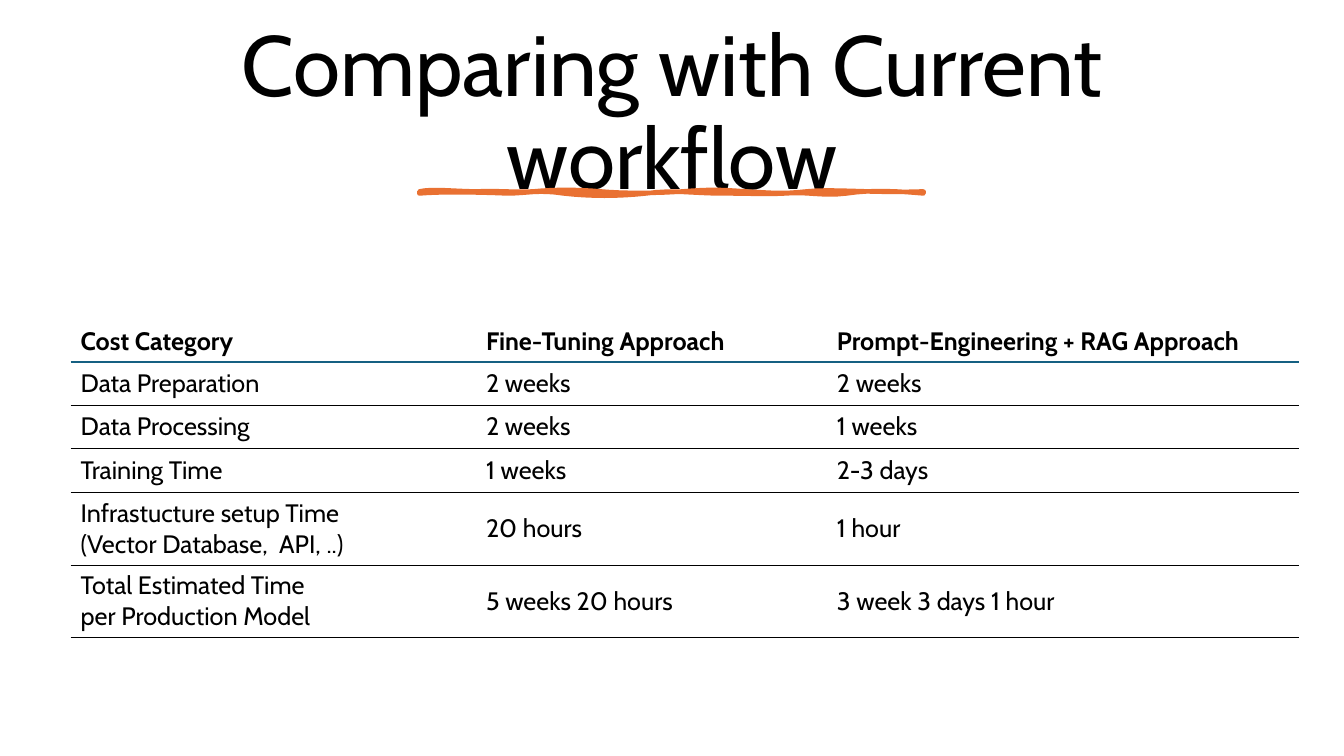
from pptx import Presentation, util as u
from pptx.dml.color import RGBColor
from pptx.enum import text
from pptx.oxml import parse_xml
from pptx.oxml.ns import nsdecls

BLACK = RGBColor(0x00, 0x00, 0x00)
ORANGE = RGBColor(0xE9, 0x71, 0x32)
TEAL = RGBColor(0x15, 0x60, 0x82)
FONT = "Cabin"
WIDTH, HEIGHT = u.Inches(13.33), u.Inches(7.5)

COMPARISON = [
    ("Cost Category", "Fine-Tuning Approach", "Prompt-Engineering + RAG Approach"),
    ("Data Preparation", "2 weeks", "2 weeks"),
    ("Data Processing", "2 weeks", "1 weeks"),
    ("Training Time", "1 weeks", "2-3 days"),
    ("Infrastucture setup Time\v(Vector Database,  API, ..)", "20 hours", "1 hour"),
    ("Total Estimated Time\vper Production Model", "5 weeks 20 hours", "3 week 3 days 1 hour"),
]
COLUMN_SHARES = (33, 28.57, 38.43)
ROW_SHARES = (21.1, 12.43, 12.43, 12.43, 21.1, 20.51)

STROKE_UNITS = 500
STROKE_CURVES = [
    (12, -3, 38, 0, 57, 0), (76, -1, 93, 1, 113, 0),
    (133, -2, 158, -2, 180, 0), (201, 2, 237, 2, 261, 0),
    (286, -2, 298, -2, 323, 0), (347, 1, 358, 3, 384, 0),
    (410, -3, 451, 2, 500, 0), (501, 1, 500, 1, 500, 2),
    (479, 0, 449, -2, 424, 2), (399, 5, 385, 0, 363, 2),
    (340, 3, 331, 2, 301, 2), (271, 2, 251, -2, 225, 2),
    (198, 5, 169, 5, 143, 2), (118, -2, 107, 2, 87, 2),
    (67, 1, 22, 0, 0, 2),
]


def slide_box(left, top, width, height):
    return tuple(int(size * share / 100) for size, share in
                 zip((WIDTH, HEIGHT, WIDTH, HEIGHT), (left, top, width, height)))


def style_runs(paragraph, size, bold=False):
    for run in paragraph.runs:
        run.font.name = FONT
        run.font.size = u.Pt(size)
        run.font.bold = bold
        run.font.color.rgb = BLACK


def add_title(slide, box):
    title = slide.shapes.title
    title.left, title.top, title.width, title.height = box
    frame = title.text_frame
    frame.text = "Comparing with Current workflow"
    frame.word_wrap = True
    frame.auto_size = text.MSO_AUTO_SIZE.NONE
    frame.vertical_anchor = text.MSO_ANCHOR.MIDDLE
    heading = frame.paragraphs[0]
    heading.alignment = text.PP_ALIGN.CENTER
    heading.line_spacing = 0.9
    style_runs(heading, 61)


def curve_points(start, curve, steps=8):
    points = [start, curve[:2], curve[2:4], curve[4:]]
    for step in range(1, steps + 1):
        t = step / steps
        weights = ((1 - t) ** 3, 3 * t * (1 - t) ** 2, 3 * t * t * (1 - t), t ** 3)
        yield tuple(sum(w * p[axis] for w, p in zip(weights, points)) for axis in (0, 1))


def add_brush_stroke(slide, box):
    left, top, width, _ = box
    unit = width / STROKE_UNITS
    outline, pen = [], (0, 0)
    for curve in STROKE_CURVES:
        outline.extend(curve_points(pen, curve))
        pen = curve[4:]
    builder = slide.shapes.build_freeform(left, top)
    builder.add_line_segments(
        [(round(left + x * unit), round(top + y * unit)) for x, y in outline], close=True)
    stroke = builder.convert_to_shape()
    stroke.shadow.inherit = False
    stroke.fill.solid()
    stroke.fill.fore_color.rgb = ORANGE
    stroke.line.color.rgb = ORANGE
    stroke.line.width = u.Pt(3.25)


def set_borders(cell, top, bottom):
    borders = {"lnL": None, "lnR": None, "lnT": top, "lnB": bottom}
    properties = cell._tc.get_or_add_tcPr()
    for position, (side, border) in enumerate(borders.items()):
        if border:
            color, points = border
            paint = f'<a:solidFill><a:srgbClr val="{color}"/></a:solidFill>'
        else:
            points, paint = 0, "<a:noFill/>"
        properties.insert(position, parse_xml(
            f'<a:{side} {nsdecls("a")} w="{u.Pt(points)}">{paint}</a:{side}>'))


def add_comparison_table(slide, box):
    width, height = box[2:]
    table = slide.shapes.add_table(len(COMPARISON), len(COLUMN_SHARES), *box).table
    table.first_row = table.horz_banding = False
    for column, share in zip(table.columns, COLUMN_SHARES):
        column.width = int(width * share / 100)
    for row, share in zip(table.rows, ROW_SHARES):
        row.height = int(height * share / 100)
    rules = [None, (TEAL, 1.5)] + [(BLACK, 0.25)] * (len(COMPARISON) - 1)
    for r, entries in enumerate(COMPARISON):
        for c, entry in enumerate(entries):
            cell = table.cell(r, c)
            cell.text_frame.text = entry
            cell.vertical_anchor = text.MSO_ANCHOR.MIDDLE if r else text.MSO_ANCHOR.BOTTOM
            cell.fill.background()
            set_borders(cell, rules[r], rules[r + 1])
            style_runs(cell.text_frame.paragraphs[0], 18, bold=r == 0)


def main():
    deck = Presentation()
    deck.slide_width, deck.slide_height = WIDTH, HEIGHT
    slide = deck.slides.add_slide(deck.slide_layouts[5])
    add_title(slide, slide_box(5.25, 6.13, 89.5, 18.27))
    add_brush_stroke(slide, slide_box(31.2, 25.33, 37.5, 0.27))
    add_comparison_table(slide, slide_box(5.25, 38.13, 91.4, 46.13))
    deck.save("out.pptx")


if __name__ == "__main__":
    main()
